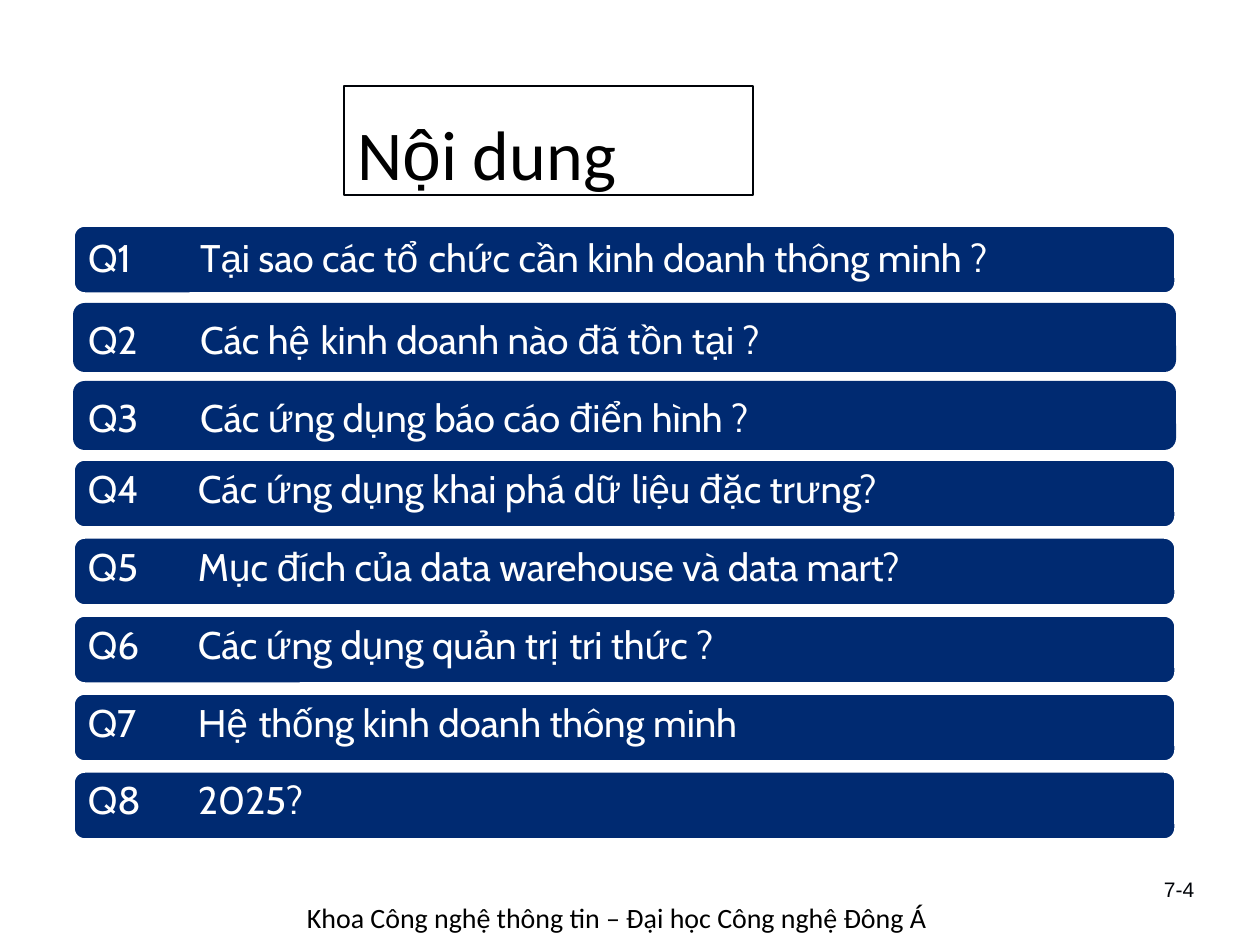
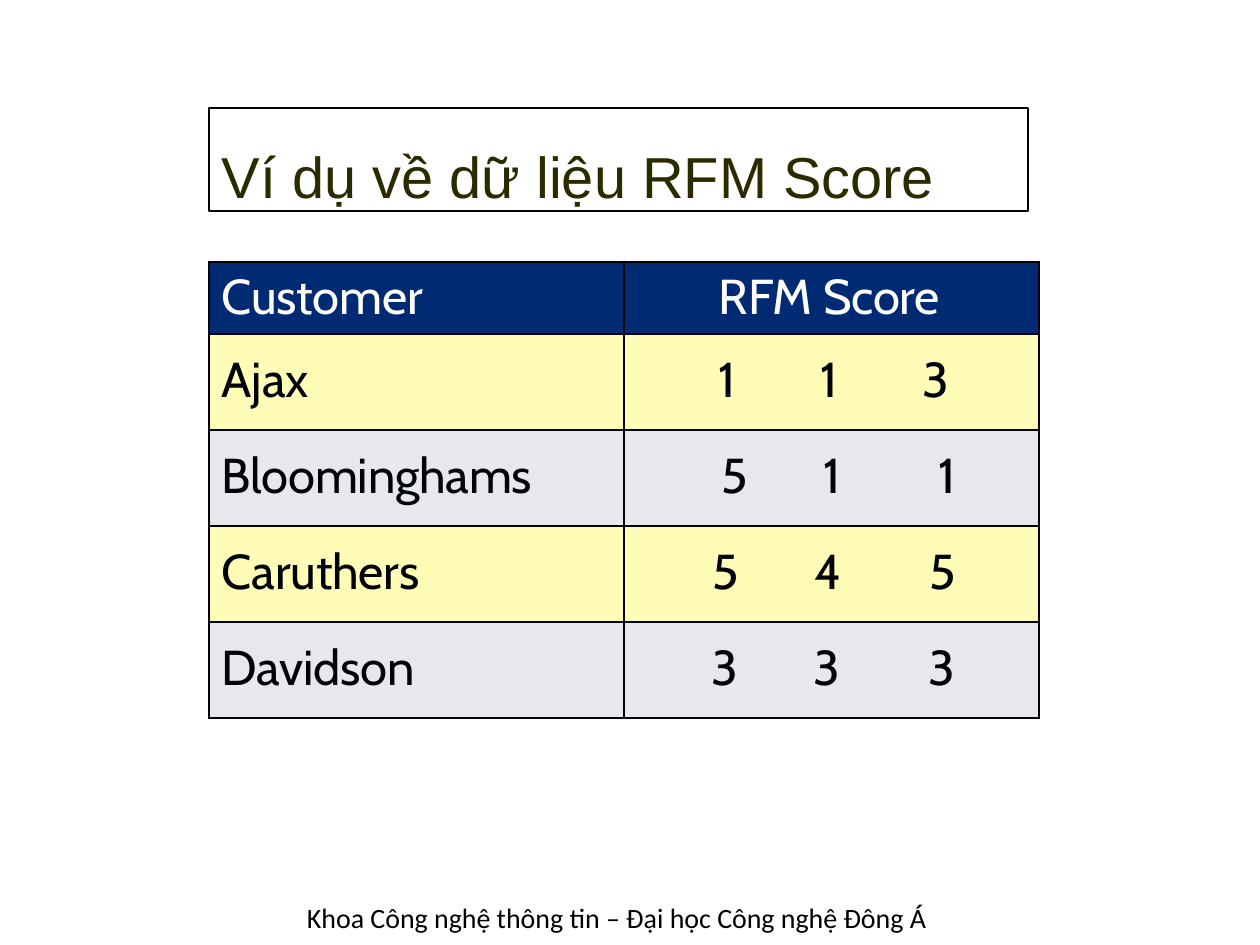
import itertools
from dataclasses import dataclass

import pptx
import pptx.dml.color
import pptx.enum.shapes
import pptx.enum.text
import pptx.oxml.ns
import pptx.util
from lxml import etree


@dataclass(frozen=True)
class Theme:
    navy: str = "002A71"
    white: str = "FFFFFF"
    black: str = "000000"
    ink: str = "000308"
    olive: str = "2C2B00"
    yellow: str = "FFFCB7"
    grey: str = "E7E8EB"
    agenda_size: int = 22
    table_size: int = 28
    footer_size: int = 16
    page_size: int = 12
    agenda_tracking: int = -5
    table_tracking: int = -10
    accented: str = "ạổứầệồụểữặưủảịốộ"


THEME = Theme()
RGB = pptx.dml.color.RGBColor.from_string
ANCHOR = pptx.enum.text.MSO_ANCHOR
SHAPE = pptx.enum.shapes.MSO_SHAPE
QN = pptx.oxml.ns.qn


def px(count):
    return pptx.util.Emu(round(count * 914400 / 126))


def write(holder, lines, size, font, color, tabs=(), tracking=0, fallback="Arial", **layout):
    margins = dict(margin_left=0, margin_top=0, margin_right=0, margin_bottom=0)
    for name, value in {**margins, **layout}.items():
        setattr(holder, name, px(value) if name.startswith("margin") else value)
    frame = getattr(holder, "text_frame", holder)
    for number, line in enumerate(lines):
        paragraph = frame.add_paragraph() if number else frame.paragraphs[0]
        paragraph.alignment = pptx.enum.text.PP_ALIGN.LEFT
        if tabs:
            stops = etree.SubElement(paragraph._p.get_or_add_pPr(), QN("a:tabLst"))
            for stop in tabs:
                etree.SubElement(stops, QN("a:tab"), pos=str(px(stop)), algn="l")
        marked = [(letter, letter in THEME.accented or letter == " " and before in THEME.accented)
                  for before, letter in zip("-" + line, line)]
        for accented, letters in itertools.groupby(marked, lambda pair: pair[1]):
            run = paragraph.add_run()
            run.text = "".join(letter for letter, _ in letters)
            run.font.name = fallback if accented else font
            run.font.size = pptx.util.Pt(size)
            run.font.color.rgb = RGB(color)
            if tracking:
                run._r.get_or_add_rPr().set("spc", str(tracking))


deck = pptx.Presentation()
deck.slide_width, deck.slide_height = px(1260), px(945)

titles = [
    ("Nội dung", (344, 86, 409, 109), 40, "Calibri", THEME.black, 24),
    ("Ví dụ về dữ liệu RFM Score", (209, 108, 819, 103), 33, "Arial", THEME.olive, 33),
]
for title, place, size, font, color, drop in titles:
    slide = deck.slides.add_slide(deck.slide_layouts[6])
    footer = slide.shapes.add_textbox(px(294), px(895), px(653), px(47))
    write(footer.text_frame, ["Khoa Công nghệ thông tin – Đại học Công nghệ Đông Á"], THEME.footer_size,
          "Calibri", THEME.black, fallback="Calibri", margin_left=13, margin_top=6, word_wrap=False)
    heading = slide.shapes.add_shape(SHAPE.RECTANGLE, *map(px, place))
    heading.shadow.inherit = False
    heading.fill.background()
    heading.line.color.rgb = RGB(THEME.ink)
    heading.line.width = pptx.util.Pt(0.75)
    write(heading.text_frame, [title], size, font, color, margin_left=13, margin_top=drop,
          vertical_anchor=ANCHOR.TOP, word_wrap=True)

agenda, scores = deck.slides

for index in range(8):
    bar = agenda.shapes.add_shape(SHAPE.ROUNDED_RECTANGLE, px(73), px(225 + 78 * index), px(1103), px(69))
    bar.adjustments[0] = 0.17
    bar.shadow.inherit = False
    bar.fill.solid()
    bar.fill.fore_color.rgb = RGB(THEME.navy)
    if index in (1, 2):
        bar.line.fill.background()
    else:
        bar.line.color.rgb = RGB(THEME.white)
        bar.line.width = pptx.util.Pt(2)

first_questions = [
    "Q1\tTại sao các tổ chức cần kinh doanh thông minh ?",
    "Q2\tCác hệ kinh doanh nào đã tồn tại ?",
    "Q3\tCác ứng dụng báo cáo điển hình ?",
]
opening = agenda.shapes.add_textbox(px(87), px(232), px(925), px(205)).text_frame
write(opening, first_questions, THEME.agenda_size, "Cabin", THEME.white, tabs=[112],
      tracking=THEME.agenda_tracking, margin_left=1, margin_top=2, word_wrap=True)
for paragraph in opening.paragraphs[1:]:
    paragraph.line_spacing = pptx.util.Pt(44.5)
opening.paragraphs[1].space_before = pptx.util.Pt(2.5)

page_number = agenda.shapes.add_textbox(px(1163), px(877), px(39), px(26))
write(page_number.text_frame, ["7-4"], THEME.page_size, "Arial", THEME.ink, margin_left=1, word_wrap=False)

later_questions = [
    ("Q4", "Các ứng dụng khai phá dữ liệu đặc trưng?"),
    ("Q5", "Mục đích của data warehouse và data mart?"),
    ("Q6", "Các ứng dụng quản trị tri thức ?"),
    ("Q7", "Hệ thống kinh doanh thông minh"),
    ("Q8", "2025?"),
]
score_rows = [
    ("Customer", "RFM Score", 95, ()),
    ("Ajax", "1\t1\t3", 95, (102, 204)),
    ("Bloominghams", "5\t1\t1", 98, (102, 217)),
    ("Caruthers", "5\t4\t5", 89, (102, 217)),
    ("Davidson", "3\t3\t3", 88, (102, 217)),
]
stripes = [THEME.navy, THEME.yellow, THEME.grey, THEME.yellow, THEME.grey]
tables = [
    (agenda, (84, 453), (83, 847), (78, 78, 78, 78, 60), [(*pair, 31, ()) for pair in later_questions],
     4, (13, 13, 13, 13, 12), [THEME.white] * 5, [None] * 5, THEME.agenda_size, THEME.agenda_tracking),
    (scores, (209, 262), (415, 415), (72, 96, 96, 96, 96), score_rows,
     13, (5, 16, 16, 16, 16), [THEME.white] + [THEME.ink] * 4, stripes, THEME.table_size, THEME.table_tracking),
]
for slide, corner, widths, heights, rows, first_indent, drops, inks, fills, size, tracking in tables:
    extent = (*corner, sum(widths), sum(heights))
    table = slide.shapes.add_table(len(rows), len(widths), *map(px, extent)).table
    table.first_row = table.horz_banding = False
    for column, width in zip(table.columns, widths):
        column.width = px(width)
    for row, height, (label, detail, indent, stops), drop, ink, fill in zip(
            table.rows, heights, rows, drops, inks, fills):
        row.height = px(height)
        for cell, text, left, tabs in zip(row.cells, (label, detail), (first_indent, indent), ((), stops)):
            for side in ("lnL", "lnR", "lnT", "lnB"):
                border = etree.SubElement(cell._tc.get_or_add_tcPr(), QN(f"a:{side}"), w=str(pptx.util.Pt(1)))
                paint = etree.SubElement(border, QN("a:solidFill" if fill else "a:noFill"))
                if fill:
                    etree.SubElement(paint, QN("a:srgbClr"), val=THEME.ink)
            if fill:
                cell.fill.solid()
                cell.fill.fore_color.rgb = RGB(fill)
            else:
                cell.fill.background()
            write(cell, [text], size, "Cabin", ink, tabs=tabs, tracking=tracking,
                  margin_left=left, margin_top=drop, vertical_anchor=ANCHOR.TOP)

deck.save("out.pptx")
